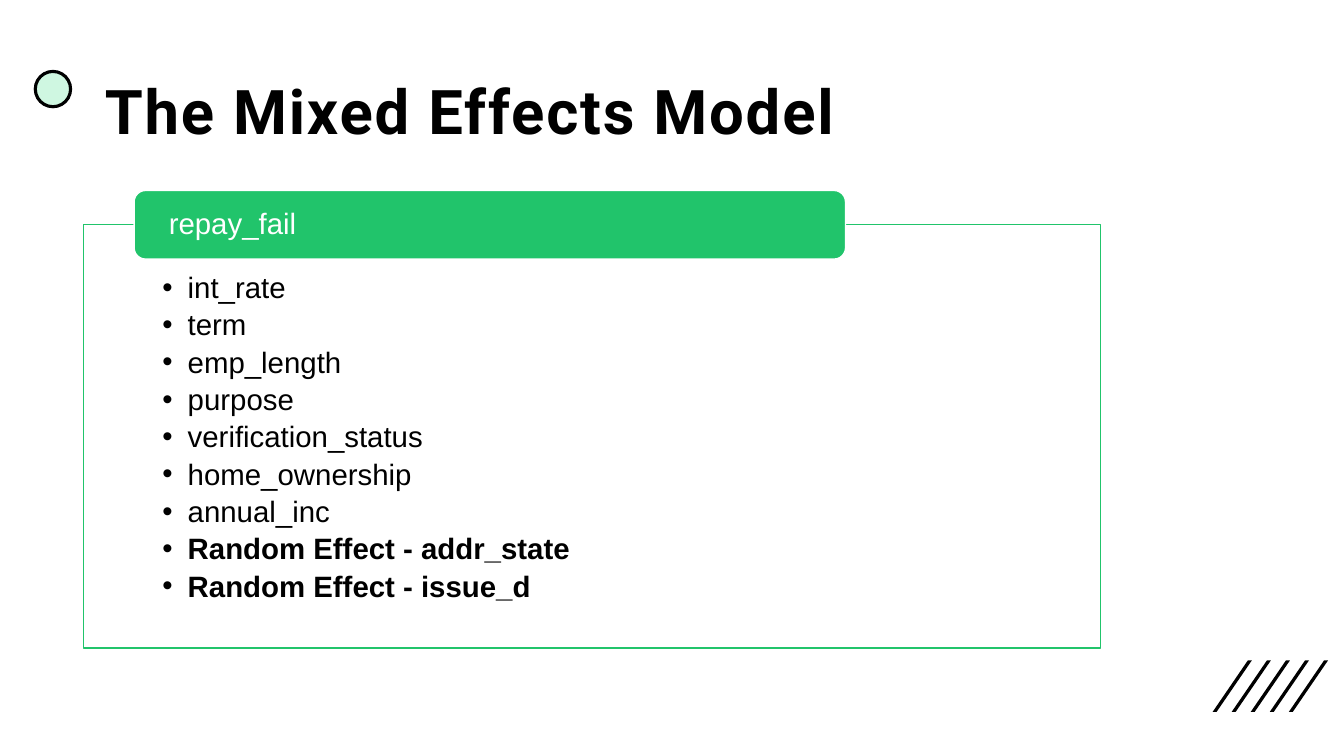
from dataclasses import dataclass
from lxml import etree
from pptx import Presentation
from pptx.dml.color import RGBColor
from pptx.enum.shapes import MSO_SHAPE
from pptx.enum.text import MSO_ANCHOR, MSO_AUTO_SIZE, PP_ALIGN
from pptx.oxml.ns import qn
from pptx.util import Cm, Pt

OVAL, ROUND = MSO_SHAPE.OVAL, MSO_SHAPE.ROUNDED_RECTANGLE
TOP, MIDDLE = MSO_ANCHOR.TOP, MSO_ANCHOR.MIDDLE
LEFT, FIXED = PP_ALIGN.LEFT, MSO_AUTO_SIZE.NONE

# Content
TITLE = "The Mixed Effects Model"
TARGET = "repay_fail"
TERMS = [
    ("int_rate", False),
    ("term", False),
    ("emp_length", False),
    ("purpose", False),
    ("verification_status", False),
    ("home_ownership", False),
    ("annual_inc", False),
    ("Random Effect - addr_state", True),
    ("Random Effect - issue_d", True),
]


@dataclass(frozen=True)
class Theme:
    ink: RGBColor = RGBColor(0x00, 0x00, 0x00)
    paper: RGBColor = RGBColor(0xFF, 0xFF, 0xFF)
    green: RGBColor = RGBColor(0x21, 0xC4, 0x6B)
    mint: RGBColor = RGBColor(0xCF, 0xF7, 0xE1)
    head: str = "Roboto"
    text: str = "Arial"
    large: int = 44
    small: int = 21


THEME = Theme()

# Places in cm: left, top, width, height
TITLE_BOX = (2.34, 1.02, 29.21, 3.68)
LIST_BOX = (2.11, 5.66, 25.63, 10.67)
LABEL_BOX = (3.38, 4.8, 17.93, 1.73)
DOT_BOX = (0.89, 1.8, 0.89, 0.89)
SLASH_BOX = (30.56, 16.64, 0.99, 1.3)
SLASHES, STEP, THICK = 5, 0.48, 0.1
INDENT = 0.64


def place(shape, box):
    shape.left, shape.top, shape.width, shape.height = map(Cm, box)


def paint(shape, fill, line=None, width=1):
    shape.fill.solid()
    shape.fill.fore_color.rgb = fill
    if line is None:
        shape.line.fill.background()
    else:
        shape.line.color.rgb = line
        shape.line.width = Pt(width)


def setup(shape, insets, anchor):
    frame = shape.text_frame
    frame.word_wrap = True
    frame.auto_size = FIXED
    frame.vertical_anchor = anchor
    (frame.margin_left, frame.margin_top,
     frame.margin_right, frame.margin_bottom) = map(Cm, insets)
    return frame


def write(para, text, face, size, color, bold=False, after=0):
    para.alignment = LEFT
    para.line_spacing = 0.9
    para.space_before = Pt(0)
    para.space_after = Pt(after)
    run = para.add_run()
    run.text = text
    font = run.font
    font.name, font.size, font.bold = face, Pt(size), bold
    font.color.rgb = color
    return run


def bullet(para):
    props = para._p.get_or_add_pPr()
    props.set("marL", str(Cm(INDENT)))
    props.set("indent", str(-Cm(INDENT)))
    etree.SubElement(props, qn("a:buChar")).set("char", "•")


def add(shapes, kind, box, fill, line, width):
    shape = shapes.add_shape(kind, *map(Cm, box))
    shape.shadow.inherit = False
    paint(shape, fill, line, width)
    return shape


def main():
    deck = Presentation()
    deck.slide_width, deck.slide_height = Cm(33.87), Cm(19.05)
    slide = deck.slides.add_slide(deck.slide_layouts[1])
    shapes = slide.shapes

    # Title
    title = shapes.title
    place(title, TITLE_BOX)
    frame = setup(title, (0.3, 0.3, 0.3, 0.25), MIDDLE)
    run = write(frame.paragraphs[0], TITLE, THEME.head, THEME.large,
                THEME.ink, True)
    run.font._element.set("spc", "130")

    # Framed list of model terms
    body = slide.placeholders[1]
    place(body, LIST_BOX)
    paint(body, THEME.paper, THEME.green)
    frame = setup(body, (1.98, 1.22, 1.98, 0.41), TOP)
    for i, (term, bold) in enumerate(TERMS):
        para = frame.add_paragraph() if i else frame.paragraphs[0]
        write(para, term, THEME.text, THEME.small, THEME.ink, bold, 4)
        bullet(para)

    # Label over the frame's top edge
    label = add(shapes, ROUND, LABEL_BOX, THEME.green, THEME.paper, 1)
    frame = setup(label, (0.79, 0, 0.79, 0), MIDDLE)
    write(frame.paragraphs[0], TARGET, THEME.text, THEME.small, THEME.paper)

    # Dot beside the title
    add(shapes, OVAL, DOT_BOX, THEME.mint, THEME.ink, 2.25)

    # Slanted strokes in the corner
    left, top, width, height = SLASH_BOX
    low = top + height
    for i in range(SLASHES):
        x = left + i * STEP
        pen = shapes.build_freeform(Cm(x + THICK), Cm(low))
        pen.add_line_segments([
            (Cm(x), Cm(low)),
            (Cm(x + width - THICK), Cm(top)),
            (Cm(x + width), Cm(top)),
        ], close=True)
        slash = pen.convert_to_shape()
        slash.shadow.inherit = False
        paint(slash, THEME.ink)

    deck.save("out.pptx")


if __name__ == "__main__":
    main()
